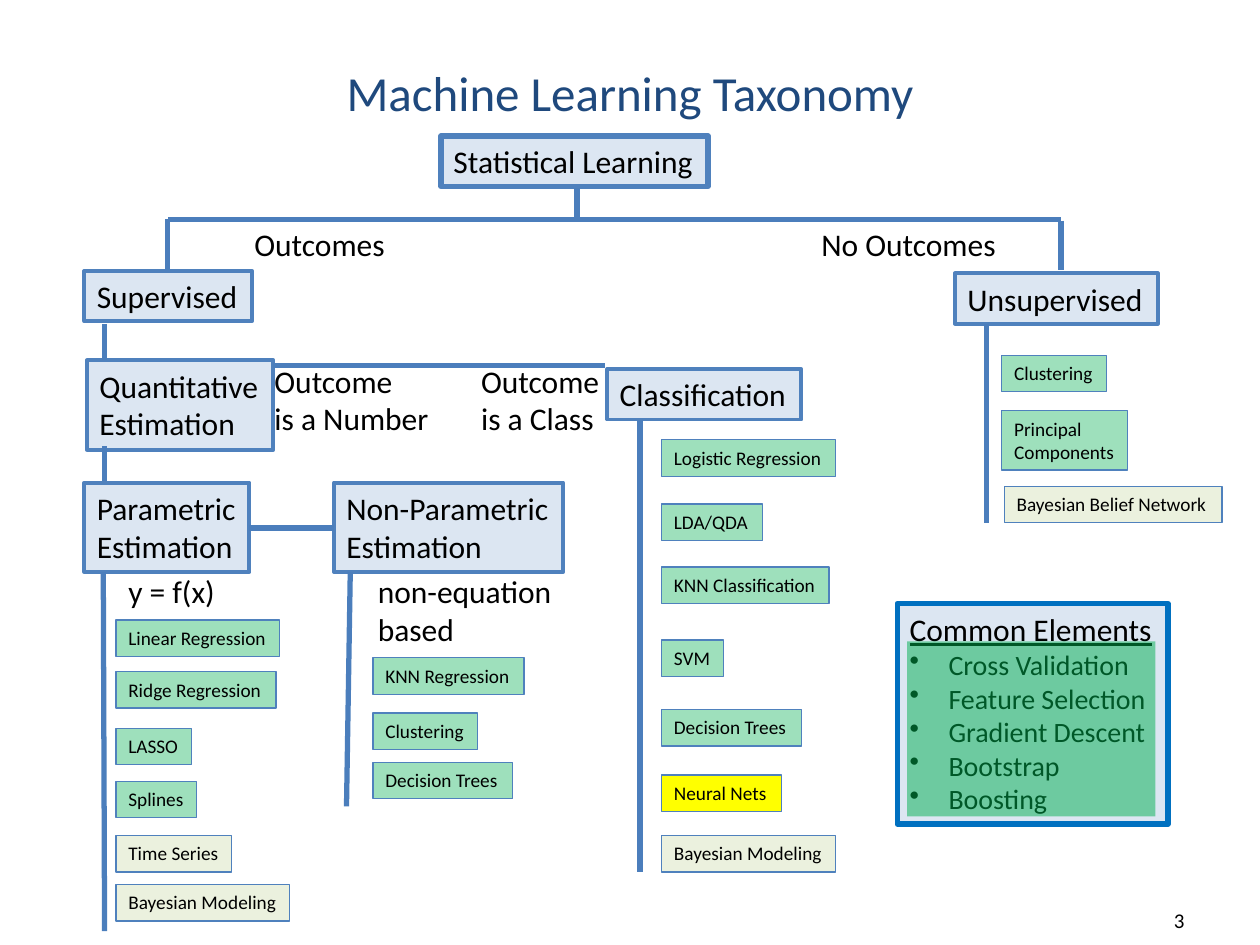
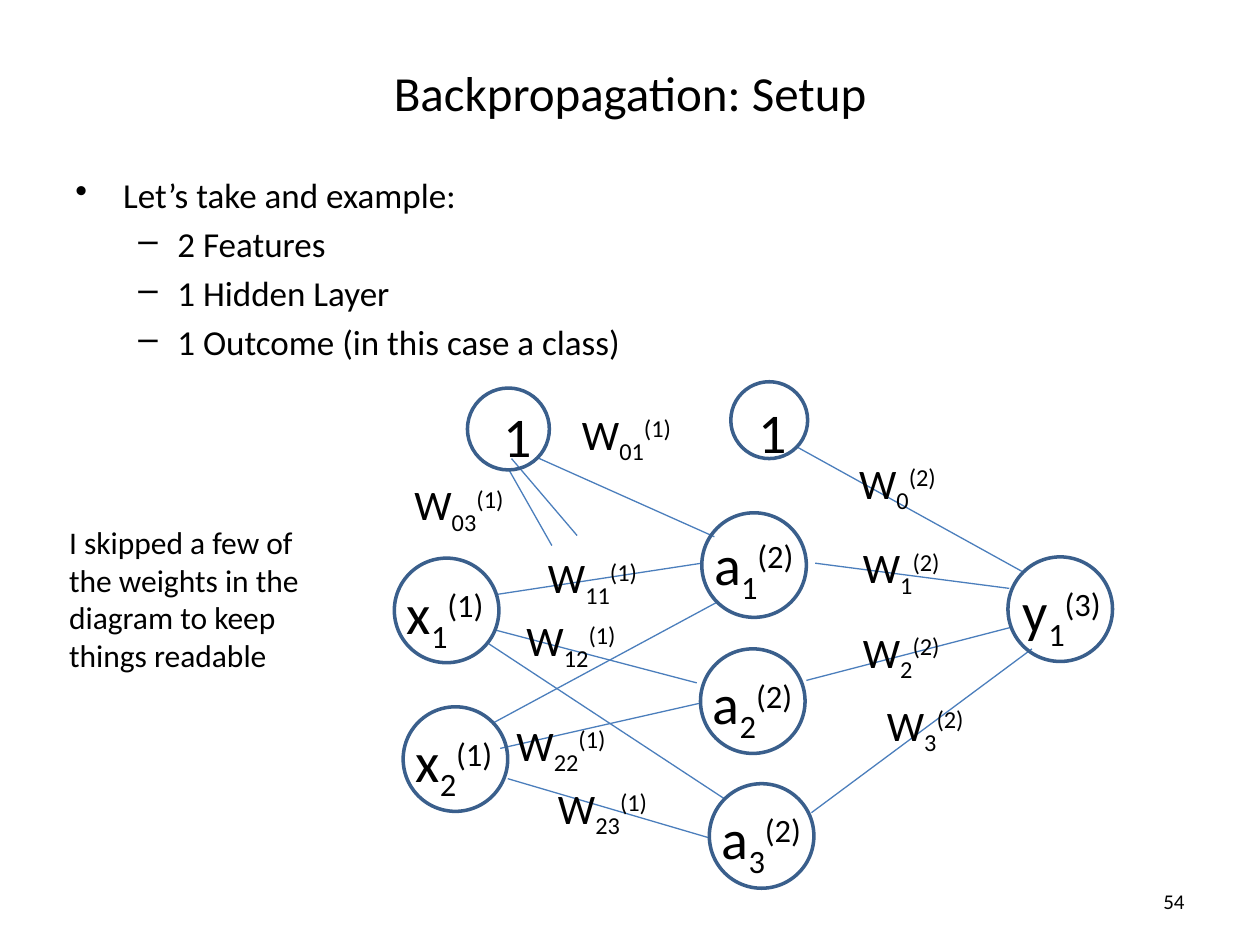
from pptx import Presentation
from pptx.dml.color import RGBColor
from pptx.enum.shapes import MSO_CONNECTOR as Link, MSO_SHAPE as Shape
from pptx.enum.text import MSO_ANCHOR as Anchor, MSO_AUTO_SIZE as Fit, PP_ALIGN as Align
from pptx.oxml.ns import qn
from pptx.util import Inches, Pt
from lxml import etree

BLACK = RGBColor(0x00, 0x00, 0x00)
NAVY = RGBColor(0x1F, 0x49, 0x7D)
BLUE = RGBColor(0x4F, 0x81, 0xBD)
WIRE = RGBColor(0x4B, 0x7E, 0xBC)
RING = RGBColor(0x3A, 0x5F, 0x8C)
EDGE = RGBColor(0x00, 0x70, 0xC0)
PALE = RGBColor(0xDC, 0xE6, 0xF2)
GREEN = RGBColor(0x00, 0xB0, 0x50)
CREAM = RGBColor(0xEB, 0xF1, 0xDE)
YELLOW = RGBColor(0xFF, 0xFF, 0x00)
FACE = "Calibri"

BOXES = [
    (0.67, 2.15, 1.33, "Supervised"),
    (7.58, 2.17, 1.61, "Unsupervised"),
    (4.82, 2.93, 1.54, "Classification"),
    (0.69, 2.86, 1.48, "Quantitative\nEstimation"),
    (0.67, 3.83, 1.31, "Parametric\nEstimation"),
    (2.65, 3.83, 1.82, "Non-Parametric\nEstimation"),
]
LABELS = [
    (1.92, 1.74, 1.25, "Outcomes"),
    (6.42, 1.74, 1.6, "No Outcomes"),
    (2.08, 2.82, 1.44, "Outcome\nis a Number"),
    (3.72, 2.82, 1.15, "Outcome\nis a Class"),
    (0.92, 4.49, 0.9, "y = f(x)"),
    (2.9, 4.49, 1.6, "non-equation\nbased"),
]
BRANCHES = [
    (4.58, 1.49, 4.58, 1.74),
    (8.42, 1.74, 1.33, 1.74),
    (1.33, 1.74, 1.33, 2.14),
    (8.42, 1.75, 8.42, 2.14),
    (0.83, 2.57, 0.83, 2.86),
    (4.8, 2.9, 2.17, 2.9),
    (0.83, 3.54, 0.83, 3.82),
    (2.65, 4.19, 1.98, 4.19),
    (0.82, 4.54, 0.83, 7.39),
    (2.78, 4.54, 2.75, 6.4),
    (5.08, 3.33, 5.08, 6.92),
    (7.83, 2.57, 7.83, 4.15),
]
METHODS = {
    0.92: [
        (4.92, 1.3, "Linear Regression", GREEN),
        (5.33, 1.27, "Ridge Regression", GREEN),
        (5.78, 0.6, "LASSO", GREEN),
        (6.2, 0.64, "Splines", GREEN),
        (6.63, 0.92, "Time Series", CREAM),
        (7.02, 1.38, "Bayesian Modeling", CREAM),
    ],
    2.96: [
        (5.22, 1.2, "KNN Regression", GREEN),
        (5.66, 0.83, "Clustering", GREEN),
        (6.05, 1.11, "Decision Trees", GREEN),
    ],
    5.25: [
        (3.49, 1.38, "Logistic Regression", GREEN),
        (4, 0.8, "LDA/QDA", GREEN),
        (4.5, 1.33, "KNN Classification", GREEN),
        (5.08, 0.49, "SVM", GREEN),
        (5.63, 1.11, "Decision Trees", GREEN),
        (6.15, 0.95, "Neural Nets", YELLOW),
        (6.63, 1.38, "Bayesian Modeling", CREAM),
    ],
    7.95: [
        (2.82, 0.83, "Clustering", GREEN),
        (3.26, 1, "Principal\nComponents", GREEN),
    ],
    7.97: [(3.86, 1.73, "Bayesian Belief Network", CREAM)],
}
COMMON = ["Cross Validation", "Feature Selection", "Gradient Descent", "Bootstrap", "Boosting"]

EDGES = [
    (4.26, 3.63, 5.67, 4.26),
    (4.06, 3.64, 4.58, 4.25),
    (4.04, 3.73, 4.38, 4.33),
    (3.93, 4.72, 5.57, 4.47),
    (3.93, 5, 5.53, 5.42),
    (3.88, 5.11, 5.75, 6.34),
    (3.91, 5.74, 5.69, 4.78),
    (3.97, 5.94, 5.56, 5.58),
    (4.03, 6.18, 5.63, 6.65),
    (6.33, 3.55, 8.12, 4.54),
    (6.47, 4.47, 8.01, 4.67),
    (6.4, 5.4, 8.02, 4.98),
    (6.44, 6.45, 8.19, 5.15),
]
NODES = [
    (3.13, 4.43, 0, 0.11, "x", "1", "(1)"),
    (3.2, 5.61, 0, 0.11, "x", "2", "(1)"),
    (5.57, 4.07, 0, 0.08, "a", "1", "(2)"),
    (5.56, 5.15, 0, 0.11, "a", "2", "(2)"),
    (5.63, 6.22, 0, 0.11, "a", "3", "(2)"),
    (8, 4.42, 0.02, 0.11, "y", "1", "(3)"),
]
BIASES = [
    (3.71, 3.08, 0.65, 3.9, 3.14),
    (5.8, 3.03, 0.61, 5.92, 3.11),
]
WEIGHTS = [
    (4.52, 3.19, "01", "(1)"),
    (3.19, 3.75, "03", "(1)"),
    (4.25, 4.33, "11", "(1)"),
    (4.08, 4.83, "12", "(1)"),
    (4, 5.66, "22", "(1)"),
    (4.33, 6.16, "23", "(1)"),
    (6.72, 3.58, "0", "(2)"),
    (6.75, 4.25, "1", "(2)"),
    (6.75, 4.92, "2", "(2)"),
    (6.94, 5.5, "3", "(2)"),
]


def style(para, size, color=BLACK, align=Align.LEFT):
    para.alignment = align
    font = para.font
    font.name, font.size, font.color.rgb = FACE, Pt(size), color


def write(shape, text, size, wrap=False):
    frame = shape.text_frame
    frame.word_wrap = wrap
    frame.auto_size = Fit.SHAPE_TO_FIT_TEXT
    frame.vertical_anchor = Anchor.TOP
    frame.text = text
    for para in frame.paragraphs:
        style(para, size)


def label(shapes, left, top, width, height, text, size, wrap=False):
    box = shapes.add_textbox(Inches(left), Inches(top), Inches(width), Inches(height))
    write(box, text, size, wrap)
    return box


def bullet(para, mark, left, hang):
    props = para._p.get_or_add_pPr()
    props.set("marL", str(Inches(left)))
    props.set("indent", str(-Inches(hang)))
    sign = etree.Element(qn("a:buChar"), char=mark)
    font = props.find(qn("a:defRPr"))
    font.addprevious(sign)


def block(shapes, kind, left, top, width, height, fill=None, line=None, weight=0, alpha=100):
    shape = shapes.add_shape(kind, Inches(left), Inches(top), Inches(width), Inches(height))
    shape.shadow.inherit = False
    if fill is None:
        shape.fill.background()
    else:
        shape.fill.solid()
        shape.fill.fore_color.rgb = fill
        if alpha < 100:
            tone = shape._element.spPr.find(qn("a:solidFill"))[0]
            etree.SubElement(tone, qn("a:alpha"), val=str(alpha * 1000))
    if line is None:
        shape.line.fill.background()
    else:
        shape.line.color.rgb = line
        shape.line.width = Pt(weight)
    return shape


def box(slide, left, top, width, text, weight=2.25):
    height = 0.71 if "\n" in text else 0.4
    shape = block(slide.shapes, Shape.RECTANGLE, left, top, width, height, PALE, BLUE, weight)
    write(shape, text, 18)


def chip(slide, left, top, width, text, fill):
    height = 0.47 if "\n" in text else 0.29
    alpha = 38 if fill == GREEN else 100
    shape = block(slide.shapes, Shape.RECTANGLE, left, top, width, height, fill, BLUE, 0.75, alpha)
    write(shape, text, 11)


def wire(slide, ends, weight):
    line = slide.shapes.add_connector(Link.STRAIGHT, *map(Inches, ends))
    line.line.color.rgb = WIRE
    line.line.width = Pt(weight)
    etree.SubElement(line._element.spPr, qn("a:effectLst"))


def term(shapes, left, top, width, height, size, base, sub, power):
    para = label(shapes, left, top, width, height, base, size).text_frame.paragraphs[0]
    for text, shift in ((sub, -25), (power, 30)):
        run = para.add_run()
        run.text = text
        run._r.get_or_add_rPr().set("baseline", str(shift * 1000))


def ring(slide, left, top, size):
    group = slide.shapes.add_group_shape()
    block(group.shapes, Shape.OVAL, left, top, size, size, line=RING, weight=2)
    return group.shapes


def start(deck, name, color, number, top):
    slide = deck.slides.add_slide(deck.slide_layouts[5])
    title = slide.shapes.title
    title.left, title.top, title.width, title.height = map(Inches, (0.5, 0.42, 9, 0.62))
    title.text_frame.text = name
    title.text_frame.vertical_anchor = Anchor.MIDDLE
    style(title.text_frame.paragraphs[0], 28, color, Align.CENTER)
    page = label(slide.shapes, 7.17, top, 2.33, 0.4, number, 12, True)
    page.text_frame.auto_size = Fit.NONE
    page.text_frame.vertical_anchor = Anchor.MIDDLE
    page.text_frame.paragraphs[0].alignment = Align.RIGHT
    return slide


def common(slide):
    panel = block(slide.shapes, Shape.RECTANGLE, 7.12, 4.79, 2.15, 1.75, PALE, EDGE, 3)
    write(panel, "\n".join(["Common Elements", *COMMON]), 18)
    head, *items = panel.text_frame.paragraphs
    head.font.underline = True
    for para in items:
        para.font.size = Pt(16)
        bullet(para, "•", 0.31, 0.31)
    block(slide.shapes, Shape.RECTANGLE, 7.2, 5.09, 1.97, 1.39, GREEN, alpha=50)


def taxonomy(deck):
    slide = start(deck, "Machine Learning Taxonomy", NAVY, "3", 7.1)
    box(slide, 3.5, 1.08, 2.12, "Statistical Learning", 3)
    for item in BOXES:
        box(slide, *item)
    for ends in BRANCHES:
        wire(slide, ends, 3)
    for left, top, width, text in LABELS:
        height = 0.71 if "\n" in text else 0.4
        label(slide.shapes, left, top, width, height, text, 18)
    for left, chips in METHODS.items():
        for item in chips:
            chip(slide, left, *item)
    common(slide)


def outline(slide):
    text = "Let’s take and example:\n2 Features\n1 Hidden Layer\n1 Outcome (in this case a class)"
    body = label(slide.shapes, 0.5, 1.33, 9, 5.37, text, 20, True)
    body.text_frame.auto_size = Fit.NONE
    head, *items = body.text_frame.paragraphs
    bullet(head, "•", 0.38, 0.38)
    for para in items:
        para.level = 1
        bullet(para, "–", 0.81, 0.31)
    for para in body.text_frame.paragraphs:
        para.space_before = Pt(4)


def network(deck):
    slide = start(deck, "Backpropagation: Setup", BLACK, "54", 6.95)
    outline(slide)
    for ends in EDGES:
        wire(slide, ends, 0.75)
    for left, top, size, x, y in BIASES:
        label(ring(slide, left, top, size), x, y, 0.33, 0.5, "1", 32)
    for left, top, dx, dy, *parts in NODES:
        term(ring(slide, left, top, 0.83), left + dx, top + dy, 0.9, 0.64, 32, *parts)
    for left, top, sub, power in WEIGHTS:
        width = 0.76 + 0.11 * len(sub)
        term(slide.shapes, left, top, width, 0.5, 24, "W", sub, power)
    note = "I skipped a few of the weights in the diagram to keep things readable"
    label(slide.shapes, 0.45, 4.1, 2.16, 1.31, note, 18, True)


def main():
    deck = Presentation()
    deck.slide_width, deck.slide_height = Inches(10), Inches(7.5)
    taxonomy(deck)
    network(deck)
    deck.save("out.pptx")


if __name__ == "__main__":
    main()
